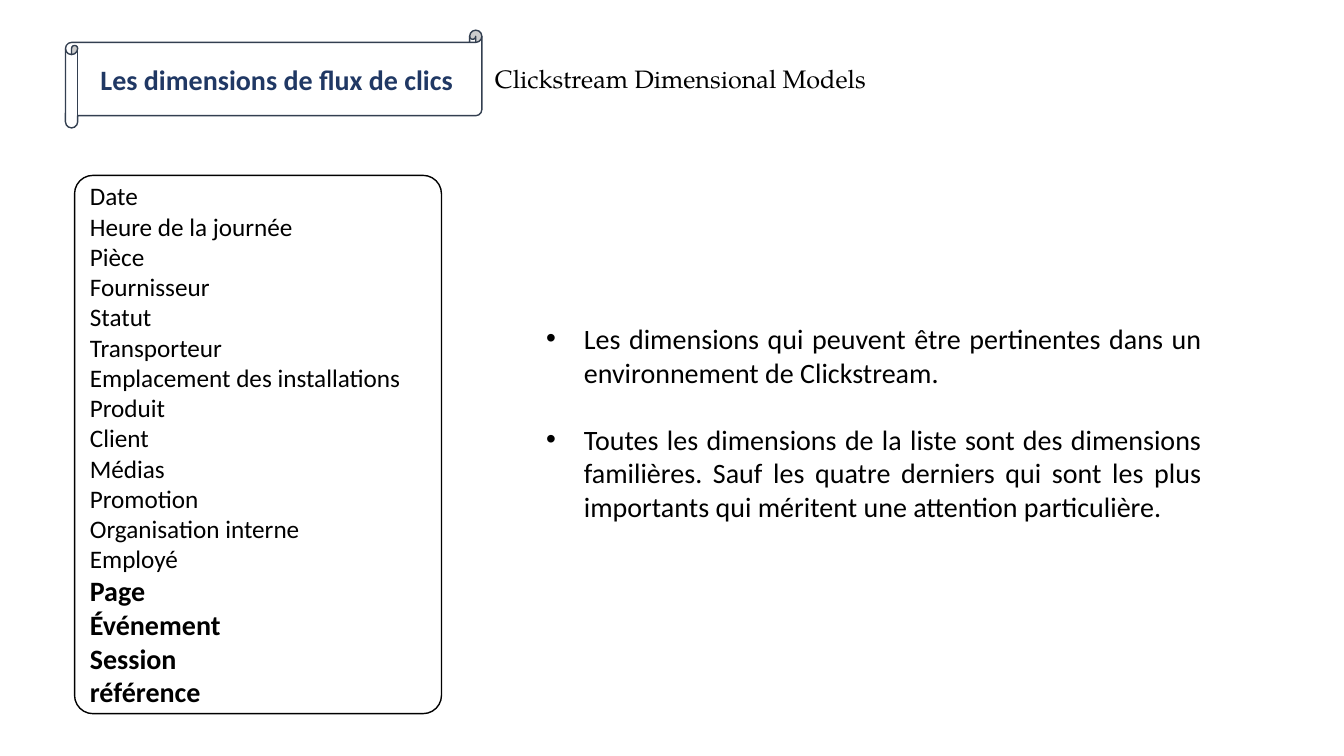
from dataclasses import dataclass

from lxml.etree import SubElement
from pptx import Presentation
from pptx.dml.color import RGBColor
from pptx.enum.shapes import MSO_SHAPE
from pptx.enum.text import MSO_ANCHOR, MSO_AUTO_SIZE, PP_ALIGN
from pptx.oxml.ns import qn
from pptx.util import Pt

TITLE = "Les dimensions de flux de clics"
SUBTITLE = "Clickstream Dimensional Models"
FAMILIAR_DIMENSIONS = [
    "Date", "Heure de la journée", "Pièce", "Fournisseur", "Statut",
    "Transporteur", "Emplacement des installations", "Produit", "Client",
    "Médias", "Promotion", "Organisation interne", "Employé",
]
KEY_DIMENSIONS = ["Page", "Événement", "Session", "référence"]
REMARKS = [
    "Les dimensions qui peuvent être pertinentes dans un environnement de Clickstream.",
    "Toutes les dimensions de la liste sont des dimensions familières. "
    "Sauf les quatre derniers qui sont les plus importants qui méritent "
    "une attention particulière.",
]

# Left, top, width, height in points
BANNER_BOX = (46.8, 21.6, 297.4, 69.8)
LIST_BOX = (53.3, 125.3, 262.1, 384.5)
REMARKS_BOX = (383, 226.1, 482.4, 152.6)
SUBTITLE_BOX = (343.4, 41.8, 282.2, 28.8)
BULLET_INDENT = 27
REMARK_GAP = 24


@dataclass(frozen=True)
class Theme:
    paper: RGBColor = RGBColor(0xFF, 0xFF, 0xFF)
    ink: RGBColor = RGBColor(0, 0, 0)
    banner_line: RGBColor = RGBColor(0x33, 0x3F, 0x50)
    banner_text: RGBColor = RGBColor(0x20, 0x38, 0x64)
    body_font: str = "Calibri"
    subtitle_font: str = "TeX Gyre Pagella"
    large: int = 20
    normal: int = 18
    line_width: int = 1


THEME = Theme()


def add_panel(slide, preset, box, line_color):
    shape = slide.shapes.add_shape(preset, *map(Pt, box))
    shape.shadow.inherit = False
    shape.fill.solid()
    shape.fill.fore_color.rgb = THEME.paper
    shape.line.color.rgb = line_color
    shape.line.width = Pt(THEME.line_width)
    shape.text_frame.vertical_anchor = MSO_ANCHOR.MIDDLE
    shape.text_frame.word_wrap = True
    return shape


def add_text_frame(slide, box, wrap):
    frame = slide.shapes.add_textbox(*map(Pt, box)).text_frame
    frame.word_wrap = wrap
    frame.auto_size = MSO_AUTO_SIZE.SHAPE_TO_FIT_TEXT
    return frame


def write_lines(frame, lines, size, alignment=PP_ALIGN.LEFT, bold=False,
                color=THEME.ink, font=THEME.body_font):
    """Add one paragraph per line, filling the empty first paragraph, and return them."""
    written = []
    for line in lines:
        paragraph = frame.add_paragraph() if frame.text else frame.paragraphs[0]
        paragraph.text = line
        paragraph.alignment = alignment
        paragraph.font.name = font
        paragraph.font.size = Pt(size)
        paragraph.font.bold = bold
        paragraph.font.color.rgb = color
        written.append(paragraph)
    return written


def add_bullet(paragraph):
    properties = paragraph._p.get_or_add_pPr()
    properties.set("marL", str(Pt(BULLET_INDENT)))
    properties.set("indent", str(-Pt(BULLET_INDENT)))
    SubElement(properties, qn("a:buFont")).set("typeface", "Arial")
    SubElement(properties, qn("a:buChar")).set("char", "•")
    # The schema wants the default run properties after the bullet.
    properties.append(properties.find(qn("a:defRPr")))


def main():
    presentation = Presentation()
    presentation.slide_width, presentation.slide_height = Pt(960), Pt(540)
    slide = presentation.slides.add_slide(presentation.slide_layouts[6])

    banner = add_panel(slide, MSO_SHAPE.HORIZONTAL_SCROLL, BANNER_BOX, THEME.banner_line)
    write_lines(banner.text_frame, [TITLE], THEME.large, PP_ALIGN.CENTER,
                bold=True, color=THEME.banner_text)

    dimension_list = add_panel(slide, MSO_SHAPE.ROUNDED_RECTANGLE, LIST_BOX, THEME.ink)
    dimension_list.adjustments[0] = 0.05
    write_lines(dimension_list.text_frame, FAMILIAR_DIMENSIONS, THEME.normal)
    write_lines(dimension_list.text_frame, KEY_DIMENSIONS, THEME.large, bold=True)

    remarks = write_lines(add_text_frame(slide, REMARKS_BOX, wrap=True), REMARKS,
                          THEME.large, PP_ALIGN.JUSTIFY)
    for remark in remarks:
        add_bullet(remark)
    for remark in remarks[1:]:
        remark.space_before = Pt(REMARK_GAP)

    write_lines(add_text_frame(slide, SUBTITLE_BOX, wrap=False), [SUBTITLE],
                THEME.normal, PP_ALIGN.RIGHT, font=THEME.subtitle_font)

    presentation.save("out.pptx")


if __name__ == "__main__":
    main()
